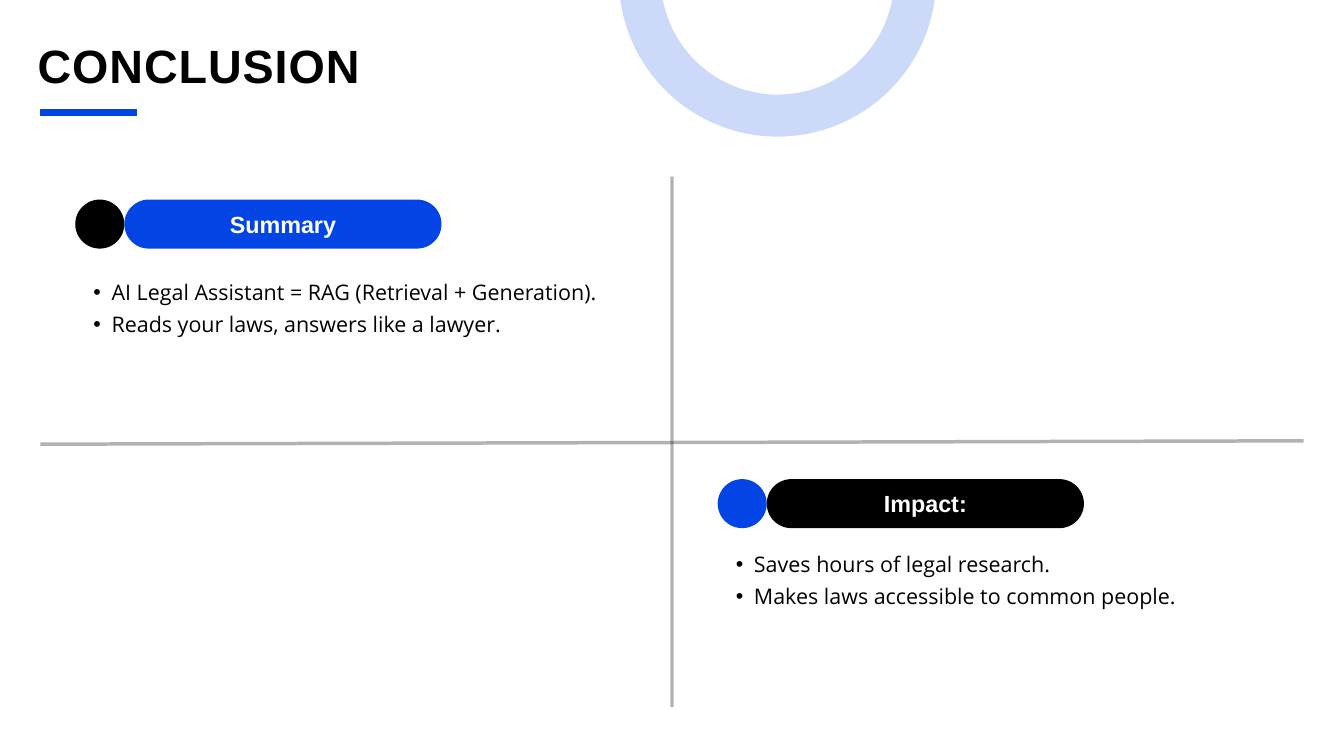
from lxml import etree
from pptx import Presentation, util as u
from pptx.dml.color import RGBColor
from pptx.enum import shapes, text
from pptx.oxml.ns import qn

BLACK = RGBColor(0x00, 0x00, 0x00)
BLUE = RGBColor(0x03, 0x45, 0xE4)
WHITE = RGBColor(0xFF, 0xFF, 0xFF)

WIDTH, HEIGHT = 20, 11.25
MARGIN = 0.6
DOT = 0.73
PILL_WIDTH = 4.72
LIST_WIDTH, LIST_HEIGHT = 8.34, 1.42

TITLE = "CONCLUSION"
# left, top of heading, top of list, dot colour, pill colour
SECTIONS = [
    dict(heading="Summary", left=1.12, top=2.97, list_top=4.06, dot=BLACK, pill=BLUE,
         points=["AI Legal Assistant = RAG (Retrieval + Generation).",
                 "Reads your laws, answers like a lawyer."]),
    dict(heading="Impact:", left=10.68, top=7.13, list_top=8.1, dot=BLUE, pill=BLACK,
         points=["Saves hours of legal research.",
                 "Makes laws accessible to common people."]),
]
# start, end, colour, weight, opacity in percent
RULES = [
    ((MARGIN, 6.61), (WIDTH - MARGIN, 6.56), BLACK, 3.75, 30),
    ((WIDTH / 2, 2.63), (WIDTH / 2, 10.52), BLACK, 3.75, 30),
    ((MARGIN, 1.67), (2.04, 1.67), BLUE, 7.5, 100),
]


def inches(*lengths):
    return [u.Inches(length) for length in lengths]


def style_line(line, color, weight, opacity):
    line.color.rgb = color
    line.width = u.Pt(weight)
    if opacity < 100:
        rgb = line._get_or_add_ln().find(".//" + qn("a:srgbClr"))
        etree.SubElement(rgb, qn("a:alpha"), val=str(opacity * 1000))


def add_rule(slide, start, end, color, weight, opacity):
    rule = slide.shapes.add_connector(shapes.MSO_CONNECTOR.STRAIGHT, *inches(*start, *end))
    style_line(rule.line, color, weight, opacity)
    etree.SubElement(rule._element.spPr, qn("a:effectLst"))


def add_filled(slide, kind, box, color):
    shape = slide.shapes.add_shape(kind, *inches(*box))
    shape.shadow.inherit = False
    shape.fill.solid()
    shape.fill.fore_color.rgb = color
    shape.line.fill.background()
    return shape


def set_frame(frame, anchor, bottom=0):
    frame.word_wrap = True
    frame.auto_size = text.MSO_AUTO_SIZE.NONE
    frame.vertical_anchor = anchor
    frame.margin_left = frame.margin_right = frame.margin_top = 0
    frame.margin_bottom = u.Inches(bottom)


def write(paragraph, words, font, size, color, spacing, align, bold=False):
    paragraph.alignment = align
    paragraph.line_spacing = u.Pt(spacing)
    paragraph.space_before = u.Pt(0)
    run = paragraph.add_run()
    run.text = words
    run.font.name, run.font.size, run.font.bold = font, u.Pt(size), bold
    run.font.color.rgb = color
    return run


def add_bullet(paragraph):
    properties = paragraph._p.get_or_add_pPr()
    properties.set("marL", str(u.Inches(0.54)))
    properties.set("indent", str(u.Inches(-0.27)))
    etree.SubElement(properties, qn("a:buFont"), typeface="Arial")
    etree.SubElement(properties, qn("a:buChar"), char="•")


def add_section(slide, section):
    left, top = section["left"], section["top"]
    # Heading: dot and pill side by side
    add_filled(slide, shapes.MSO_SHAPE.OVAL, (left, top, DOT, DOT), section["dot"])
    pill = add_filled(slide, shapes.MSO_SHAPE.ROUNDED_RECTANGLE,
                      (left + DOT, top, PILL_WIDTH, DOT), section["pill"])
    pill.adjustments[0] = 0.5
    set_frame(pill.text_frame, text.MSO_ANCHOR.MIDDLE, bottom=0.08)
    write(pill.text_frame.paragraphs[0], section["heading"], "Arial", 25, WHITE, 35,
          text.PP_ALIGN.CENTER, bold=True)
    # Bulleted points
    points = slide.shapes.add_textbox(
        *inches(left, section["list_top"], LIST_WIDTH, LIST_HEIGHT)).text_frame
    set_frame(points, text.MSO_ANCHOR.TOP)
    for i, point in enumerate(section["points"]):
        paragraph = points.add_paragraph() if i else points.paragraphs[0]
        add_bullet(paragraph)
        write(paragraph, point, "Open Sans", 23, BLACK, 34.5, text.PP_ALIGN.JUSTIFY)


def main():
    deck = Presentation()
    deck.slide_width, deck.slide_height = inches(WIDTH, HEIGHT)
    slide = deck.slides.add_slide(deck.slide_layouts[5])

    # Title
    title = slide.shapes.title
    title.left, title.top, title.width, title.height = inches(0.56, 0.41, 11.78, 0.93)
    set_frame(title.text_frame, text.MSO_ANCHOR.TOP)
    heading = write(title.text_frame.paragraphs[0], TITLE, "Arial", 50, BLACK, 70,
                    text.PP_ALIGN.LEFT, bold=True)
    heading.font._element.set("spc", "100")

    # Quadrant dividers and title underline
    for rule in RULES:
        add_rule(slide, *rule)

    for section in SECTIONS:
        add_section(slide, section)

    # Ring cut off by the top edge
    ring = slide.shapes.add_shape(shapes.MSO_SHAPE.OVAL, *inches(9.52, -2.38, 4.1, 4.1))
    ring.shadow.inherit = False
    ring.fill.background()
    style_line(ring.line, BLUE, 45, 20)

    deck.save("out.pptx")


if __name__ == "__main__":
    main()
